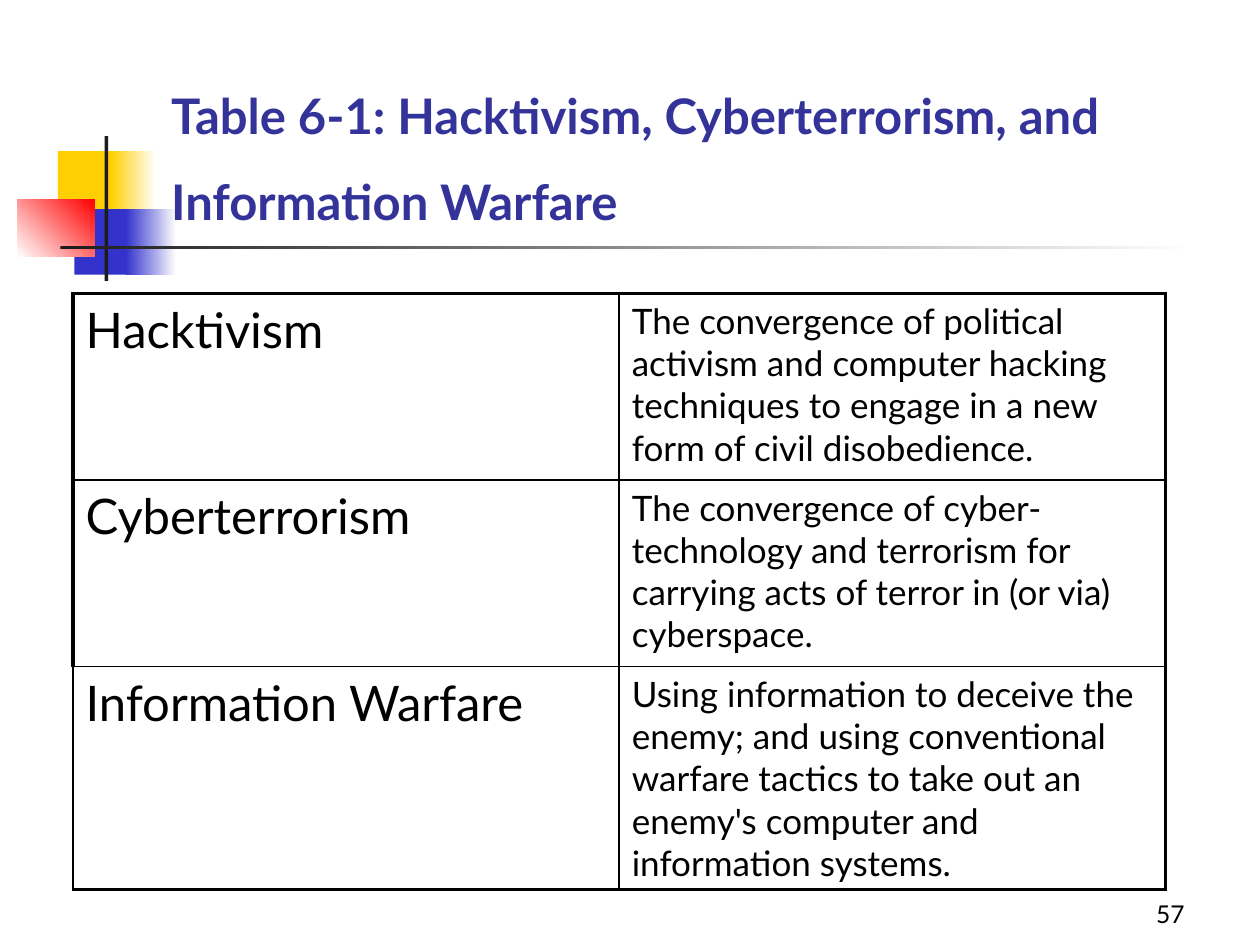
from dataclasses import dataclass
from typing import Optional

import lxml.etree
import pptx
import pptx.dml.color
import pptx.enum.shapes
import pptx.enum.text
import pptx.oxml.ns
import pptx.util

RGBColor = pptx.dml.color.RGBColor
Inches = pptx.util.Inches
Pt = pptx.util.Pt
Anchor = pptx.enum.text.MSO_ANCHOR
Align = pptx.enum.text.PP_ALIGN
qn = pptx.oxml.ns.qn

YELLOW = RGBColor(0xFF, 0xCF, 0x01)
BLUE = RGBColor(0x33, 0x33, 0xCC)
RED = RGBColor(0xFF, 0x00, 0x00)
CHARCOAL = RGBColor(0x1C, 0x1C, 0x1C)
NAVY = RGBColor(0x33, 0x33, 0x99)
BLACK = RGBColor(0x00, 0x00, 0x00)
WHITE = RGBColor(0xFF, 0xFF, 0xFF)

FONT = "Lato"
THICK, THIN = 2.25, 1


@dataclass
class Block:
    left: float
    top: float
    width: float
    height: float
    color: RGBColor
    fade_to: Optional[RGBColor] = None
    angle: float = 0


@dataclass
class Term:
    name: str
    meaning: str
    height: float


ORNAMENT = [
    Block(0.46, 1.2, 0.48, 0.52, YELLOW),
    Block(0.88, 1.2, 0.36, 0.52, YELLOW, WHITE),
    Block(0.59, 1.66, 0.46, 0.52, BLUE),
    Block(1, 1.66, 0.4, 0.52, BLUE, WHITE),
    Block(0.14, 1.58, 0.61, 0.46, WHITE, RED, 45),
    Block(0.83, 1.08, 0.03, 1.15, CHARCOAL),
    Block(0.48, 1.95, 9, 0.03, CHARCOAL, WHITE),
]

TERMS = [
    Term("Hacktivism",
         "The convergence of political activism and computer hacking "
         "techniques to engage in a new form of civil disobedience.", 1.48),
    Term("Cyberterrorism",
         "The convergence of cyber-technology and terrorism for carrying "
         "acts of terror in (or via) cyberspace.", 1.48),
    Term("Information Warfare",
         "Using information to deceive the enemy; and using conventional "
         "warfare tactics to take out an enemy's computer and information "
         "systems.", 1.77),
]


def set_all(target, values: dict) -> None:
    for name, value in values.items():
        setattr(target, name, value)


def write(frame, text: str, size: float, color: RGBColor = BLACK,
          bold: bool = False, **paragraph_format) -> None:
    paragraph = frame.paragraphs[0]
    set_all(paragraph, paragraph_format)
    run = paragraph.add_run()
    run.text = text
    set_all(run.font, {"name": FONT, "size": Pt(size), "bold": bold})
    run.font.color.rgb = color


def draw_block(slide, block: Block) -> None:
    shape = slide.shapes.add_shape(
        pptx.enum.shapes.MSO_SHAPE.RECTANGLE, Inches(block.left),
        Inches(block.top), Inches(block.width), Inches(block.height))
    shape.shadow.inherit = False
    shape.line.fill.background()
    if block.fade_to is None:
        shape.fill.solid()
        shape.fill.fore_color.rgb = block.color
        return
    shape.fill.gradient()
    shape.fill.gradient_angle = block.angle
    for stop, color in zip(shape.fill.gradient_stops,
                           (block.color, block.fade_to)):
        stop.color.rgb = color


def add_text_box(slide, left: float, top: float, width: float, height: float,
                 **frame_format):
    frame = slide.shapes.add_textbox(
        Inches(left), Inches(top), Inches(width), Inches(height)).text_frame
    set_all(frame, {"word_wrap": True, "vertical_anchor": Anchor.BOTTOM,
                    **frame_format})
    return frame


def set_borders(cell, widths: dict) -> None:
    properties = cell._tc.get_or_add_tcPr()
    for side, width in widths.items():
        line = lxml.etree.SubElement(properties, qn(f"a:{side}"),
                                     w=str(int(Pt(width))))
        fill = lxml.etree.SubElement(line, qn("a:solidFill"))
        lxml.etree.SubElement(fill, qn("a:srgbClr"), val=str(BLACK))


def draw_terms(slide, terms: list[Term]) -> None:
    table = slide.shapes.add_table(
        len(terms), 2, Inches(0.58), Inches(2.33), Inches(8.67),
        Inches(sum(term.height for term in terms))).table
    set_all(table, {"first_row": False, "horz_banding": False})
    last = len(terms) - 1
    for row, term in enumerate(terms):
        table.rows[row].height = Inches(term.height)
        for column, (text, size) in enumerate([(term.name, 28),
                                               (term.meaning, 20)]):
            cell = table.cell(row, column)
            write(cell.text_frame, text, size)
            # The frame is thick, except on the left of the last row
            set_borders(cell, {
                "lnL": THICK if column == 0 and row < last else THIN,
                "lnR": THICK if column == 1 else THIN,
                "lnT": THICK if row == 0 else THIN,
                "lnB": THICK if row == last else THIN,
            })
            cell.fill.background()


def main() -> None:
    deck = pptx.Presentation()
    set_all(deck, {"slide_width": Inches(10), "slide_height": Inches(7.5)})
    slide = deck.slides.add_slide(deck.slide_layouts[6])

    # Corner ornament and rule
    for block in ORNAMENT:
        draw_block(slide, block)

    # Title
    title = add_text_box(slide, 1.26, 0.68, 8.52, 1.25,
                         margin_bottom=Inches(0.1))
    write(title, "Table 6-1: Hacktivism, Cyberterrorism, and Information Warfare",
          28, NAVY, bold=True, line_spacing=Pt(49))

    # Definitions
    draw_terms(slide, TERMS)

    # Page number
    page_number = add_text_box(slide, 7.42, 6.92, 2.08, 0.5)
    write(page_number, "57", 14, alignment=Align.RIGHT)

    deck.save("out.pptx")


if __name__ == "__main__":
    main()
